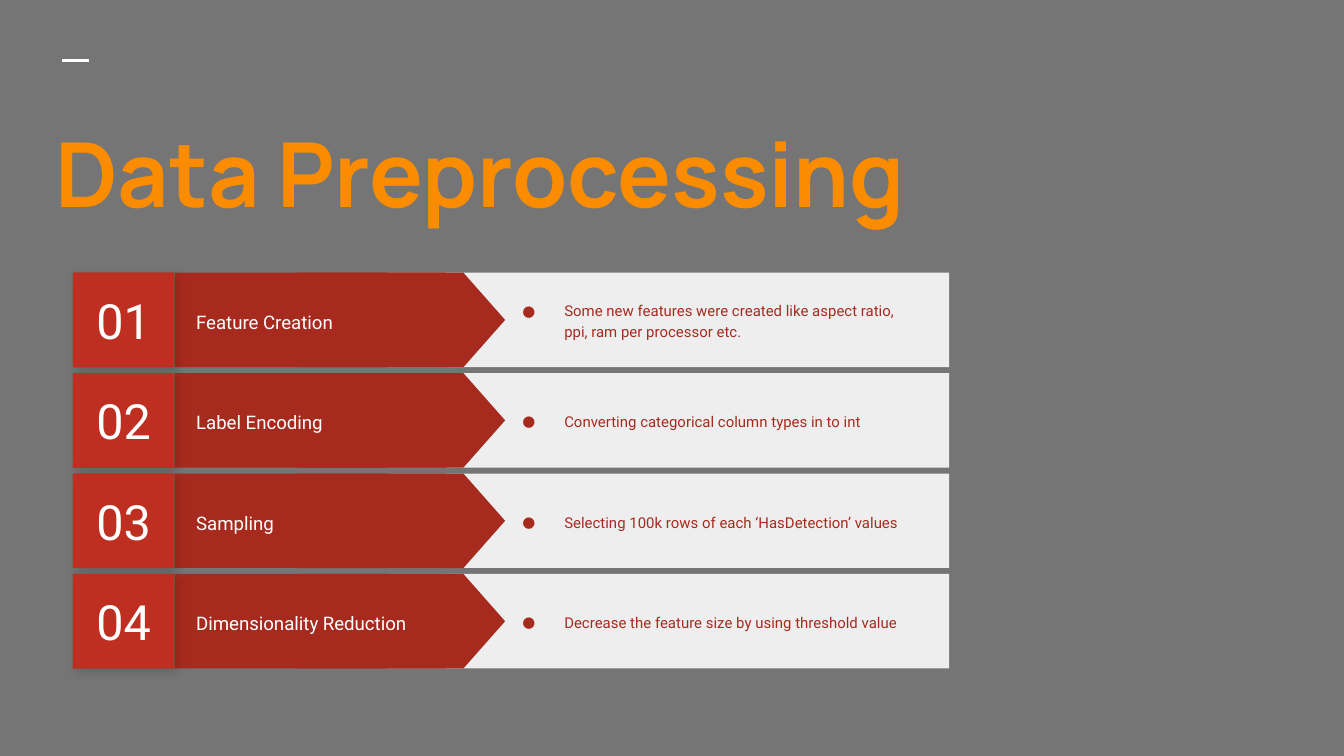
import pptx
import pptx.util
import pptx.dml.color
import pptx.enum.shapes
import pptx.enum.text
import pptx.oxml
import pptx.oxml.ns
from lxml import etree

Pt = pptx.util.Pt
RGBColor = pptx.dml.color.RGBColor
Shape = pptx.enum.shapes.MSO_SHAPE
Anchor = pptx.enum.text.MSO_ANCHOR
Align = pptx.enum.text.PP_ALIGN

GRAY = RGBColor(0x75, 0x75, 0x75)
WHITE = RGBColor(0xFF, 0xFF, 0xFF)
ORANGE = RGBColor(0xFB, 0x8C, 0x00)
LIGHT = RGBColor(0xEE, 0xEE, 0xEE)
RED = RGBColor(0xBE, 0x2F, 0x22)
MID_RED = RGBColor(0xB0, 0x2C, 0x20)
DARK_RED = RGBColor(0xA7, 0x2A, 0x1E)

STEPS = [
    ("Feature Creation",
     "Some new features were created like aspect ratio, ppi, ram per processor etc."),
    ("Label Encoding", "Converting categorical column types in to int"),
    ("Sampling", "Selecting 100k rows of each ‘HasDetection’ values"),
    ("Dimensionality Reduction", "Decrease the feature size by using threshold value"),
]
FIRST_TOP, ROW_PITCH, ROW_HEIGHT = 146.1, 53.8, 50.6


def add_xml(parent, tag, **attributes):
    return etree.SubElement(parent, pptx.oxml.ns.qn(tag), attributes)


class SlideBuilder:
    heading_font = "Manrope"
    body_font = "Roboto"
    inset = 7.2

    def __init__(self, presentation):
        self.slide = presentation.slides.add_slide(presentation.slide_layouts[5])
        background = self.slide.background.fill
        background.solid()
        background.fore_color.rgb = GRAY

    def set_text(self, shape, text, size, color, font=None, align=Align.LEFT,
                 anchor=Anchor.MIDDLE, spacing=None, bullet=False, bold=False):
        frame = shape.text_frame
        frame.word_wrap = True
        frame.auto_size = pptx.enum.text.MSO_AUTO_SIZE.NONE
        frame.vertical_anchor = anchor
        frame.margin_left = frame.margin_right = Pt(self.inset)
        frame.margin_top = frame.margin_bottom = Pt(self.inset)
        frame.text = text
        paragraph = frame.paragraphs[0]
        paragraph.alignment = align
        paragraph.line_spacing = spacing
        if bullet:
            self.add_bullet(paragraph, color)
        paragraph.font.name = font or self.body_font
        paragraph.font.size = Pt(size)
        paragraph.font.bold = bold
        paragraph.font.color.rgb = color

    def add_bullet(self, paragraph, color):
        properties = paragraph._p.get_or_add_pPr()
        properties.set("marL", str(Pt(36)))
        properties.set("indent", str(Pt(-22.5)))
        add_xml(add_xml(properties, "a:buClr"), "a:srgbClr", val=str(color))
        add_xml(properties, "a:buFont", typeface=self.body_font)
        add_xml(properties, "a:buChar", char="●")

    def title(self, text, left, top, width, height):
        title = self.slide.shapes.title
        title.left, title.top = Pt(left), Pt(top)
        title.width, title.height = Pt(width), Pt(height)
        self.set_text(title, text, 48, ORANGE, self.heading_font, anchor=Anchor.TOP, bold=True)

    def dash(self, left, right, y):
        line = self.slide.shapes.add_connector(
            pptx.enum.shapes.MSO_CONNECTOR.STRAIGHT, Pt(left), Pt(y), Pt(right), Pt(y))
        line.line.color.rgb = WHITE
        line.line.width = Pt(1.5)
        add_xml(line._element.spPr, "a:effectLst")

    def panel(self, group, left, top, width, height, color, kind=Shape.RECTANGLE):
        shape = group.shapes.add_shape(kind, Pt(left), Pt(top), Pt(width), Pt(height))
        shape.shadow.inherit = False
        shape.fill.solid()
        shape.fill.fore_color.rgb = color
        shape.line.fill.background()
        return shape

    def cast_shadow(self, shape):
        effects = shape._element.spPr.find(pptx.oxml.ns.qn("a:effectLst"))
        shadow = add_xml(effects, "a:outerShdw", blurRad=str(Pt(5.6)), dist=str(Pt(2.2)),
                         dir="2700000", algn="tl", rotWithShape="0")
        add_xml(add_xml(shadow, "a:srgbClr", val="000000"), "a:alpha", val="17000")

    def label(self, group, left, top, width, height, text, size, color, bullet=False):
        box = group.shapes.add_textbox(Pt(left), Pt(top), Pt(width), Pt(height))
        self.set_text(box, text, size, color, spacing=1.15, bullet=bullet)

    def step(self, number, top, name, detail):
        """Add one row: number tile, arrow with the step's name, and detail panel."""
        group = self.slide.shapes.add_group_shape()
        self.panel(group, 207.4, top, 301, ROW_HEIGHT, LIGHT)
        self.panel(group, 93.6, top, 145.4, ROW_HEIGHT, DARK_RED)
        # The arrow is upright before its turn, so its centre sits mid-row.
        length, center = 111.6, 214.8
        arrow = self.panel(group, center - ROW_HEIGHT / 2, top + (ROW_HEIGHT - length) / 2,
                           ROW_HEIGHT, length, DARK_RED, Shape.FLOWCHART_OFFPAGE_CONNECTOR)
        arrow.rotation = 270
        self.label(group, 98, top + 6, 152.6, 38.9, name, 10, WHITE)
        self.cast_shadow(self.panel(group, 39.1, top, 54.3, ROW_HEIGHT, MID_RED))
        tile = self.panel(group, 39.1, top, 54.3, ROW_HEIGHT, RED)
        self.set_text(tile, f"{number:02}", 26, WHITE, align=Align.CENTER)
        self.label(group, 259.2, top, 234, ROW_HEIGHT, detail, 8, DARK_RED, bullet=True)


def main():
    presentation = pptx.Presentation()
    presentation.slide_width, presentation.slide_height = Pt(720), Pt(405)
    builder = SlideBuilder(presentation)
    builder.dash(33.5, 47.9, 32.5)
    builder.title("Data Preprocessing", 22.3, 56.2, 679, 301)
    for index, (name, detail) in enumerate(STEPS):
        builder.step(index + 1, FIRST_TOP + index * ROW_PITCH, name, detail)
    presentation.save("out.pptx")


if __name__ == "__main__":
    main()
